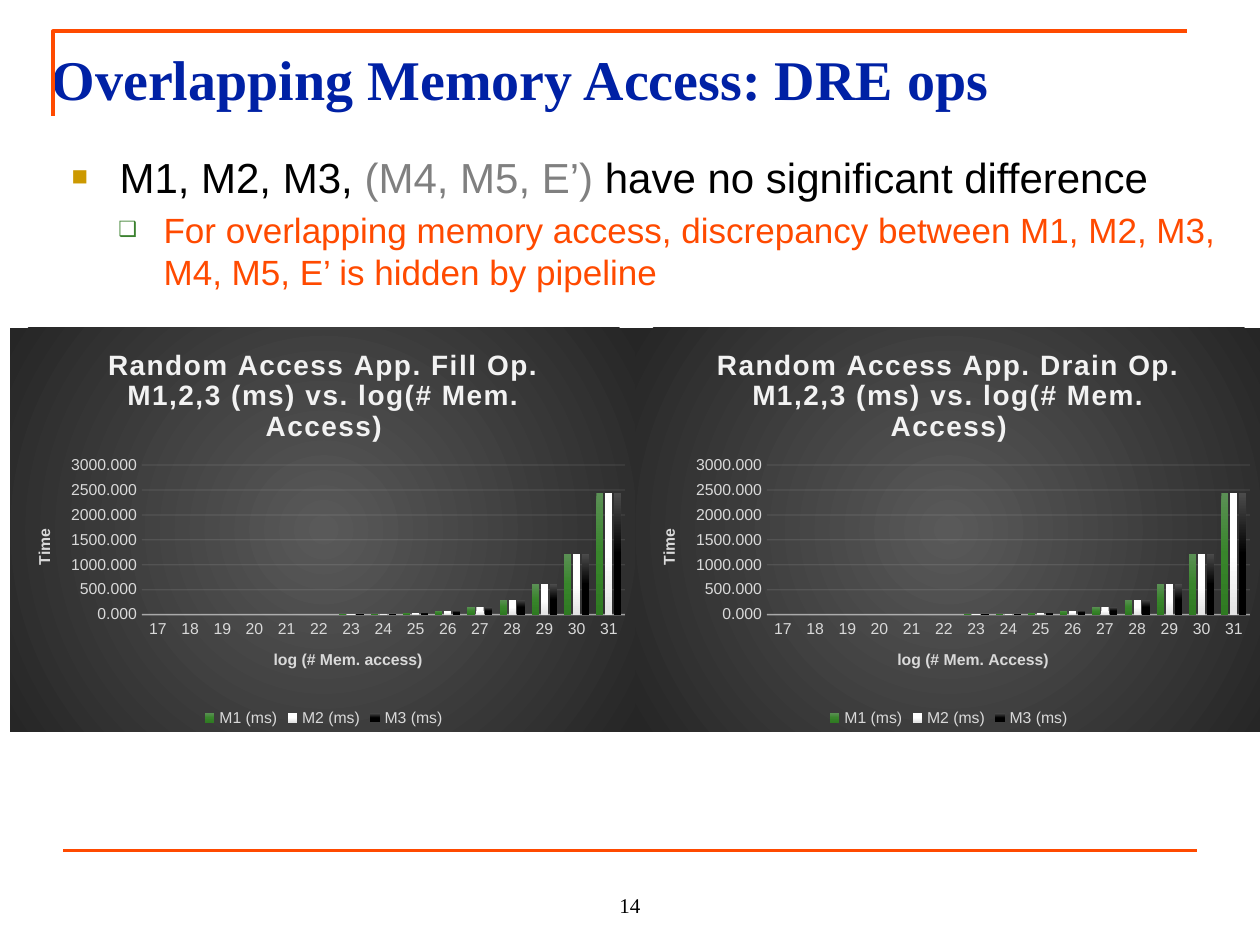
from dataclasses import dataclass

from lxml.etree import SubElement
from pptx import Presentation
from pptx.chart.data import CategoryChartData
from pptx.dml.color import RGBColor
from pptx.enum.chart import XL_CHART_TYPE, XL_LEGEND_POSITION, XL_TICK_MARK
from pptx.enum.text import MSO_ANCHOR, MSO_AUTO_SIZE, PP_ALIGN
from pptx.oxml import parse_xml
from pptx.oxml.ns import nsdecls, qn
from pptx.util import Inches, Pt

HUES = {
    "orange": "FF4A00", "blue": "0021A5", "black": "000000", "gray": "808080",
    "gold": "CC9900", "green": "3B812F", "pale": "F2F2F2", "label": "D9D9D9",
}
SERIF, SANS = "Times New Roman", "Arial"
PANEL = [(0, "595959"), (100, "262626")]
BARS = [
    [(0, "5B9055"), (50, "38852B"), (100, "2F7A22")],
    [(0, "FFFFFF"), (50, "FFFFFF"), (100, "E3E3E3")],
    [(0, "4B4B4B"), (50, "000000"), (100, "000000")],
]
TIMES = [0] * 6 + [10, 20, 40, 80, 150, 300, 610, 1220]
LAST = [2440, 2440, 2430]


@dataclass
class Bullet:
    mark: str
    hue: str
    scale: int
    left: float
    hang: float
    size: int
    runs: list


@dataclass
class Plot:
    left: float
    title: str
    base: str


BULLETS = [
    Bullet("■", "gold", 65, 0.38, 0.38, 24, [
        ("M1, M2, M3, ", "black"), ("(M4, M5, E’)", "gray"),
        (" have no significant difference", "black")]),
    Bullet("❑", "green", 60, 0.73, 0.36, 20, [
        ("For overlapping memory access, discrepancy between M1, M2, M3, "
         "M4, M5, E’ is hidden by pipeline", "orange")]),
]
PLOTS = [
    Plot(0.08, "Random Access App. Fill Op. M1,2,3 (ms) vs. log(# Mem. Access)",
         "log (# Mem. access)"),
    Plot(5.04, "Random Access App. Drain Op. M1,2,3 (ms) vs. log(# Mem. Access)",
         "log (# Mem. Access)"),
]


def color(name: str) -> RGBColor:
    return RGBColor.from_string(HUES[name])


def style(font, size: float, hue: str, face: str = SANS, bold: bool = False) -> None:
    font.size, font.name, font.bold = Pt(size), face, bold
    font.color.rgb = color(hue)


def write(par, text: str, *, size: float, hue: str, face: str = SANS,
          bold: bool = False, track: int = 0) -> None:
    run = par.add_run()
    run.text = text
    style(run.font, size, hue, face, bold)
    if track:
        run.font._element.set("spc", str(track))


def stroke(line, hue: str, width: float, alpha: int = 100) -> None:
    line.color.rgb = color(hue)
    line.width = Pt(width)
    if alpha < 100:
        tone = line._get_or_add_ln().find(".//" + qn("a:srgbClr"))
        SubElement(tone, qn("a:alpha"), val=str(alpha * 1000))


def blend(stops: list, shade: str):
    marks = "".join(f'<a:gs pos="{pos * 1000}"><a:srgbClr val="{hue}"/></a:gs>'
                    for pos, hue in stops)
    return parse_xml(f'<a:gradFill {nsdecls("a")}><a:gsLst>{marks}</a:gsLst>'
                     f'{shade}</a:gradFill>')


def add_bullet(par, item: Bullet) -> None:
    par.space_before = Pt(item.size * 0.2)
    props = par._p.get_or_add_pPr()
    props.set("marL", str(Inches(item.left)))
    props.set("indent", str(-Inches(item.hang)))
    tone = SubElement(props, qn("a:buClr"))
    SubElement(tone, qn("a:srgbClr"), val=HUES[item.hue])
    SubElement(props, qn("a:buSzPct"), val=str(item.scale * 1000))
    SubElement(props, qn("a:buFont"), typeface=SANS)
    SubElement(props, qn("a:buChar"), char=item.mark)
    for text, hue in item.runs:
        write(par, text, size=item.size, hue=hue)


def set_axis(axis, name: str) -> None:
    axis.major_tick_mark = axis.minor_tick_mark = XL_TICK_MARK.NONE
    style(axis.tick_labels.font, 9, "label")
    write(axis.axis_title.text_frame.paragraphs[0], name,
          size=9, hue="label", bold=True)


def add_plot(slide, item: Plot) -> None:
    data = CategoryChartData(number_format="0.000")
    data.categories = [str(num) for num in range(17, 32)]
    for num, last in enumerate(LAST, 1):
        data.add_series(f"M{num} (ms)", TIMES + [last])
    chart = slide.shapes.add_chart(
        XL_CHART_TYPE.COLUMN_CLUSTERED, Inches(item.left), Inches(2.6),
        Inches(4.98), Inches(3.21), data).chart
    style(chart.font, 10, "black")
    write(chart.chart_title.text_frame.paragraphs[0], item.title,
          size=16, hue="pale", bold=True, track=100)
    chart.chart_title.include_in_layout = False

    # Axes
    base, side = chart.category_axis, chart.value_axis
    set_axis(base, item.base)
    set_axis(side, "Time")
    stroke(base.format.line, "pale", 1, 54)
    side.format.line.fill.background()
    side.minimum_scale, side.maximum_scale, side.major_unit = 0, 3000, 500
    side.tick_labels.number_format = "0.000"
    side.tick_labels.number_format_is_linked = False
    stroke(side.major_gridlines.format.line, "pale", 0.75, 10)

    # Legend
    chart.has_legend = True
    chart.legend.position = XL_LEGEND_POSITION.BOTTOM
    chart.legend.include_in_layout = False
    style(chart.legend.font, 9, "label")

    # Bars
    bars = chart.plots[0]
    bars.gap_width, bars.overlap, bars.vary_by_categories = 100, -24, False
    for series, stops in zip(bars.series, BARS):
        series._element.get_or_add_spPr().insert(
            0, blend(stops, '<a:lin ang="5400000" scaled="0"/>'))

    # Dark panel and place of the plot area
    root = chart._chartSpace
    panel = parse_xml(f'<c:spPr {nsdecls("c", "a")}><a:ln><a:noFill/></a:ln></c:spPr>')
    panel.insert(0, blend(PANEL, '<a:path path="circle"><a:fillToRect l="50000" '
                                 't="50000" r="50000" b="50000"/></a:path>'))
    root.find(qn("c:chart")).addnext(panel)
    area = root.find(".//" + qn("c:plotArea"))
    for old in area.findall(qn("c:layout")):
        area.remove(old)
    spot = parse_xml(f'<c:layout {nsdecls("c")}><c:manualLayout/></c:layout>')
    area.insert(0, spot)
    for tag, val in [("layoutTarget", "inner"), ("xMode", "edge"), ("yMode", "edge"),
                     ("x", 0.21), ("y", 0.34), ("w", 0.77), ("h", 0.37)]:
        SubElement(spot[0], qn(f"c:{tag}"), val=str(val))


def main() -> None:
    deck = Presentation()
    deck.slide_width, deck.slide_height = Inches(10), Inches(7.5)
    slide = deck.slides.add_slide(deck.slide_layouts[5])
    shapes = slide.shapes

    # Corner frame and bottom rule
    path = shapes.build_freeform(Inches(0.42), Inches(0.92))
    path.add_line_segments([(Inches(0.42), Inches(0.25)),
                            (Inches(9.42), Inches(0.25))], close=False)
    frame = path.convert_to_shape()
    frame.shadow.inherit = False
    frame.fill.background()
    stroke(frame.line, "orange", 2.25)
    rule = shapes.add_connector(1, Inches(0.5), Inches(6.75), Inches(9.5), Inches(6.75))
    stroke(rule.line, "orange", 2.25)
    SubElement(rule._element.spPr, qn("a:effectLst"))

    # Title
    title = shapes.title
    title.left, title.top = Inches(0.31), Inches(0.3)
    title.width, title.height = Inches(9.72), Inches(0.87)
    text = title.text_frame
    text.vertical_anchor, text.auto_size = MSO_ANCHOR.TOP, MSO_AUTO_SIZE.NONE
    text.paragraphs[0].alignment = PP_ALIGN.LEFT
    write(text.paragraphs[0], "Overlapping Memory Access: DRE ops",
          size=32, hue="blue", face=SERIF, bold=True)

    # Bullets
    text = shapes.add_textbox(Inches(0.47), Inches(1.15),
                              Inches(9.29), Inches(5.37)).text_frame
    text.word_wrap = True
    for num, item in enumerate(BULLETS):
        par = text.add_paragraph() if num else text.paragraphs[0]
        par.level = num
        add_bullet(par, item)

    # Page number
    text = shapes.add_textbox(Inches(4), Inches(6.83), Inches(2), Inches(0.5)).text_frame
    text.word_wrap, text.vertical_anchor = True, MSO_ANCHOR.BOTTOM
    text.paragraphs[0].alignment = PP_ALIGN.CENTER
    write(text.paragraphs[0], "14", size=12, hue="black", face=SERIF)

    # Charts
    for item in PLOTS:
        add_plot(slide, item)
    deck.save("out.pptx")


if __name__ == "__main__":
    main()
